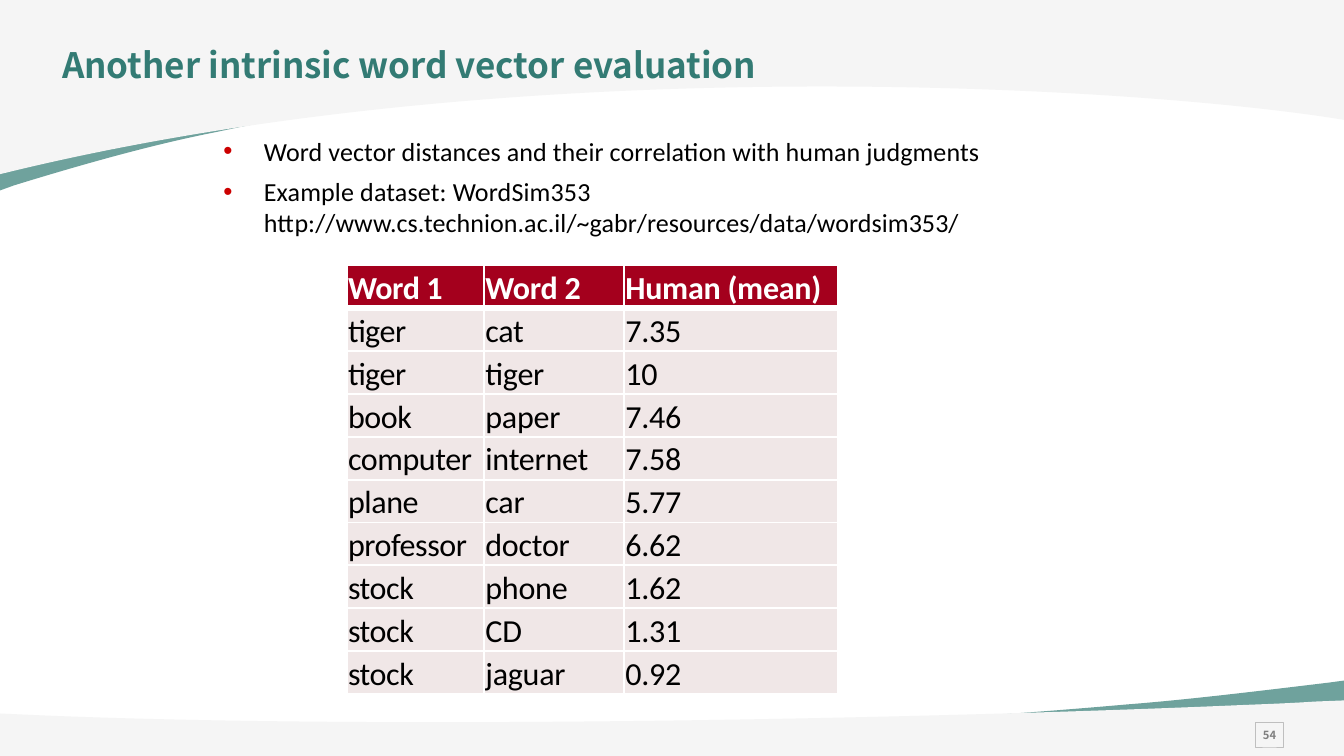
import pptx
import pptx.dml.color
import pptx.enum.shapes
import pptx.enum.text
import pptx.oxml
import pptx.oxml.ns
import pptx.util

Cm, Pt = pptx.util.Cm, pptx.util.Pt
HEADING_FONT, BODY_FONT = "Noto Sans CJK SC", "Calibri"
TEAL, PALE_GREY, BLACK, WHITE = "337B74", "F5F5F5", "000000", "FFFFFF"
SLIDE_WIDTH, SLIDE_HEIGHT = 33.87, 19.05

# Each band is a list of steps: (x, y) is a corner,
# six numbers are a curve with two control points and its end.
HEADER_TEAL = [
    (0, 4.8), (0, 0.56), (33.87, 0.56), (33.87, 2.31),
    (26.21, 0.15, 13.06, 1.7, 5.44, 3.33), (3.91, 3.63, 2.18, 4.11, 0.36, 4.67),
]
HEADER_GREY = [
    (0, 0), (33.87, 0), (33.87, 3.02), (28.96, 2.21, 13.13, 1.14, 0, 4.39),
]
FOOTER_TEAL = [
    (33.87, 0), (33.87, 1.75), (0, 1.75), (0, 1.01),
    (7.65, 1.9, 20.83, 1.27, 28.42, 0.6), (29.95, 0.48, 31.67, 0.27, 33.5, 0.05),
]
FOOTER_GREY = [
    (33.87, 0.5), (33.87, 1.9), (0, 1.9), (0, 0.83), (1.12, 0.88),
    (9.96, 1.24, 23.11, 0.96, 30.99, 0.63), (31.65, 0.6, 32.39, 0.58, 33.12, 0.53),
]

# Each bullet is a list of runs with their letter spacing.
BULLETS = [
    [("Word vector distances and their correlation with human judgments", 0.08)],
    [("Example dataset: WordSim353 ", 0.1),
     ("http://www.cs.technion.ac.il/~gabr/resources/data/wordsim353/", 0.06)],
]
WORD_PAIRS = [
    ("Word 1", "Word 2", "Human (mean)"),
    ("tiger", "cat", "7.35"),
    ("tiger", "tiger", "10"),
    ("book", "paper", "7.46"),
    ("computer", "internet", "7.58"),
    ("plane", "car", "5.77"),
    ("professor", "doctor", "6.62"),
    ("stock", "phone", "1.62"),
    ("stock", "CD", "1.31"),
    ("stock", "jaguar", "0.92"),
]
COLUMN_SHARES = (0.28, 0.285, 0.435)


def color(hex_string):
    return pptx.dml.color.RGBColor.from_string(hex_string)


def element(xml):
    tag_end = min(xml.index(mark) for mark in " >/" if mark in xml)
    return pptx.oxml.parse_xml(
        xml[:tag_end] + " " + pptx.oxml.ns.nsdecls("a") + xml[tag_end:])


def write_text(paragraph, text, font=BODY_FONT, size=18, fill=BLACK, bold=False,
               spacing=0):
    run = paragraph.add_run()
    run.text = text
    run.font.name, run.font.size, run.font.bold = font, Pt(size), bold
    run.font.color.rgb = color(fill)
    if spacing:
        run.font._element.set("spc", str(round(spacing * 100)))


def set_margins(holder, left=0, top=0, right=0, bottom=0):
    holder.margin_left, holder.margin_top = Cm(left), Cm(top)
    holder.margin_right, holder.margin_bottom = Cm(right), Cm(bottom)


def add_text_frame(slide, box, top_margin):
    frame = slide.shapes.add_textbox(*map(Cm, box)).text_frame
    frame.word_wrap = True
    set_margins(frame, top=top_margin)
    return frame


def add_band(slide, left, top, steps, fill, opacity=100):
    start, *corners = [(Cm(left + step[-2]), Cm(top + step[-1])) for step in steps]
    builder = slide.shapes.build_freeform(*start)
    builder.add_line_segments(corners, close=True)
    band = builder.convert_to_shape()
    # Turn the straight sides that should bend into curves
    sides = band._element.findall(".//" + pptx.oxml.ns.qn("a:lnTo"))
    for side, step in zip(sides, steps[1:]):
        if len(step) == 6:
            points = "".join(
                f'<a:pt x="{Cm(left + x) - band.left}" y="{Cm(top + y) - band.top}"/>'
                for x, y in zip(step[::2], step[1::2]))
            side.getparent().replace(
                side, element(f"<a:cubicBezTo>{points}</a:cubicBezTo>"))
    band.shadow.inherit = False
    band.fill.solid()
    band.fill.fore_color.rgb = color(fill)
    band.line.fill.background()
    if opacity < 100:
        swatch = band._element.spPr.find(".//" + pptx.oxml.ns.qn("a:srgbClr"))
        swatch.append(element(f'<a:alpha val="{opacity * 1000}"/>'))


def add_header(slide, left, top, width, height):
    add_band(slide, left, top, HEADER_TEAL, TEAL, opacity=70)
    add_band(slide, left, top, HEADER_GREY, PALE_GREY)
    # Title
    title = add_text_frame(slide, (left + 1.57, top + 1.07, 17.98, 1.09), 0.03)
    write_text(title.paragraphs[0], "Another intrinsic word vector evaluation",
               font=HEADING_FONT, size=25, fill=TEAL, bold=True)


def add_footer(slide, left, top, width, height):
    add_band(slide, left, top, FOOTER_TEAL, TEAL, opacity=70)
    add_band(slide, left, top, FOOTER_GREY, PALE_GREY)
    # Page number
    page_box = slide.shapes.add_shape(
        pptx.enum.shapes.MSO_SHAPE.RECTANGLE,
        Cm(left + width - 2.23), Cm(top + height - 0.84), Cm(0.71), Cm(0.64))
    page_box.shadow.inherit = False
    page_box.fill.background()
    page_box.line.color.rgb = color("BFBFBF")
    page_box.line.width = Pt(0.75)
    frame = page_box.text_frame
    frame.word_wrap = False
    frame.vertical_anchor = pptx.enum.text.MSO_ANCHOR.MIDDLE
    set_margins(frame, 0.2, 0.2, 0.2, 0.2)
    number = frame.paragraphs[0]
    number.alignment = pptx.enum.text.PP_ALIGN.CENTER
    write_text(number, "54", font=HEADING_FONT, size=8, fill="808080", bold=True)


def add_bullets(slide, left, top, width, height):
    frame = add_text_frame(slide, (left, top, width, height), 0.18)
    for i, runs in enumerate(BULLETS):
        bullet = frame.add_paragraph() if i else frame.paragraphs[0]
        properties = bullet._p.get_or_add_pPr()
        properties.set("marL", str(Cm(1.04)))
        properties.set("indent", str(-Cm(1.02)))
        for xml in ('<a:buClr><a:srgbClr val="CC0000"/></a:buClr>',
                    '<a:buFont typeface="Arial"/>', '<a:buChar char="•"/>'):
            properties.append(element(xml))
        if i:
            bullet.space_before = Pt(6.4)
        for text, spacing in runs:
            write_text(bullet, text, size=18.6, spacing=spacing)


def set_borders(cell, **widths):
    properties = cell._tc.get_or_add_tcPr()
    for i, side in enumerate("LRTB"):
        width = Pt(widths.get(side, 1.5))
        properties.insert(i, element(
            f'<a:ln{side} w="{width}"><a:solidFill><a:srgbClr val="{WHITE}"/>'
            f'</a:solidFill></a:ln{side}>'))


def add_word_pairs(slide, left, top, width, height):
    table = slide.shapes.add_table(
        len(WORD_PAIRS), len(COLUMN_SHARES),
        *map(Cm, (left, top, width, height))).table
    table.horz_banding = False
    for column, share in zip(table.columns, COLUMN_SHARES):
        column.width = Cm(width * share)
    for r, words in enumerate(WORD_PAIRS):
        table.rows[r].height = Cm(height / len(WORD_PAIRS))
        heading = r == 0
        for c, word in enumerate(words):
            cell = table.cell(r, c)
            set_margins(cell, left=0.03)
            cell.fill.solid()
            cell.fill.fore_color.rgb = color("A4001D" if heading else "F0E7E7")
            set_borders(cell, **({"B": 4.25} if heading else {"T": 4.25} if r == 1 else {}))
            entry = cell.text_frame.paragraphs[0]
            entry.line_spacing = Pt(30.6)
            write_text(entry, word, size=22.9, fill=WHITE if heading else BLACK,
                       bold=heading, spacing=-0.3 if c == 0 else -0.2)


def main():
    presentation = pptx.Presentation()
    presentation.slide_width = Cm(SLIDE_WIDTH)
    presentation.slide_height = Cm(SLIDE_HEIGHT)
    slide = presentation.slides.add_slide(presentation.slide_layouts[6])
    add_header(slide, 0, 0, SLIDE_WIDTH, 4.8)
    add_footer(slide, 0, 17.15, SLIDE_WIDTH, 1.9)
    add_bullets(slide, 5.61, 3.23, 22.66, 2.79)
    add_word_pairs(slide, 8.74, 6.68, 12.37, 10.8)
    presentation.save("out.pptx")


if __name__ == "__main__":
    main()
